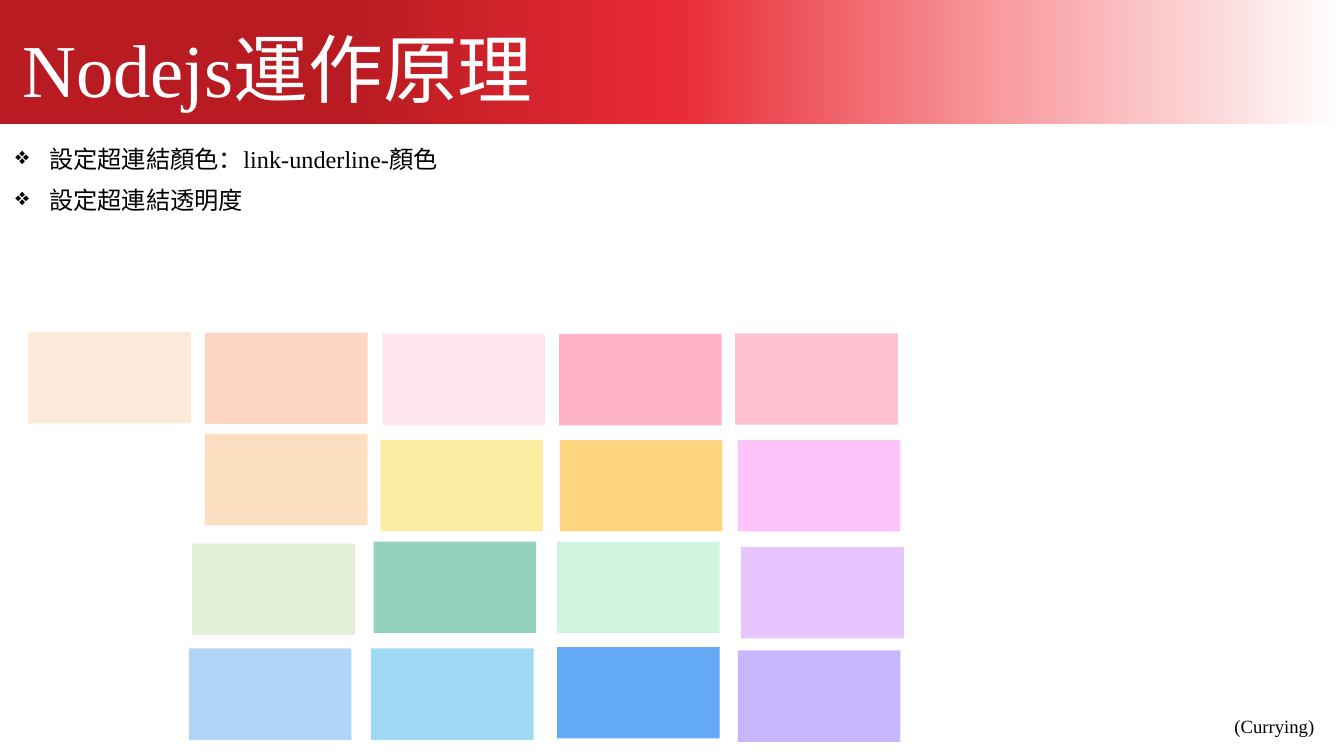
from dataclasses import dataclass

from lxml.etree import SubElement
from pptx import Presentation
from pptx.dml.color import RGBColor
from pptx.enum.shapes import MSO_SHAPE
from pptx.enum.text import MSO_AUTO_SIZE
from pptx.oxml.ns import qn
from pptx.util import Inches, Pt


@dataclass(frozen=True)
class Theme:
    latin: str = "Times New Roman"
    chinese: str = "Noto Sans CJK SC"
    ink: str = "000000"
    paper: str = "FFFFFF"
    title_size: int = 80
    body_size: int = 26
    note_size: int = 20
    banner_stops: tuple = ((0, "B81B22"), (25, "B81B22"), (50, "E82A34"),
                           (75, "F89DA1"), (100, "FFFFFF"))


THEME = Theme()
BULLETS = ["設定超連結顏色：link-underline-顏色", "設定超連結透明度"]

SWATCH_SIZE = (2.42, 1.36)
# Each swatch: left, top, colour. The rows are placed loosely by hand.
SWATCH_ROWS = [
    [(0.42, 4.94, "FCEADB"), (3.05, 4.95, "FFD5C4"), (5.69, 4.97, "FFE5EC"),
     (8.32, 4.97, "FFB3C6"), (10.94, 4.96, "FFC2D1")],
    [(3.05, 6.46, "FCDFC0"), (5.66, 6.55, "FBECA2"), (8.33, 6.55, "FFD580"),
     (10.98, 6.55, "FCC4FB")],
    [(2.86, 8.09, "E2F0D7"), (5.56, 8.06, "94D2BD"), (8.29, 8.06, "D0F4DE"),
     (11.03, 8.14, "E7C6FF")],
    [(2.81, 9.65, "B1D5F7"), (5.52, 9.65, "9FDAF5"), (8.29, 9.63, "64A9F6"),
     (10.98, 9.68, "C8B6FF")],
]


def add_rectangle(page, box):
    shape = page.shapes.add_shape(MSO_SHAPE.RECTANGLE, *map(Inches, box))
    shape.shadow.inherit = False
    shape.line.fill.background()
    return shape


def add_text_frame(page, box, has_margins=False):
    frame = page.shapes.add_textbox(*map(Inches, box)).text_frame
    frame.word_wrap = True
    frame.auto_size = MSO_AUTO_SIZE.SHAPE_TO_FIT_TEXT
    if not has_margins:
        frame.margin_left = frame.margin_right = 0
        frame.margin_top = frame.margin_bottom = 0
    return frame


def style(para, size, color):
    para.font.size = Pt(size)
    para.font.name = THEME.latin
    para.font.color.rgb = RGBColor.from_string(color)


def add_bullet(para):
    properties = para._p.get_or_add_pPr()
    properties.set("marL", str(Inches(0.5)))
    properties.set("indent", str(-Inches(0.5)))
    SubElement(properties, qn("a:buChar")).set("char", "❖")


def add_banner(page, box):
    banner = add_rectangle(page, box)
    banner.fill.gradient()
    banner.fill.gradient_angle = 0
    stops = banner._element.spPr.find(qn("a:gradFill")).find(qn("a:gsLst"))
    for stop in list(stops):
        stops.remove(stop)
    for percent, color in THEME.banner_stops:
        stop = SubElement(stops, qn("a:gs"))
        stop.set("pos", str(percent * 1000))
        SubElement(stop, qn("a:srgbClr")).set("val", color)


def add_title(page, box):
    para = add_text_frame(page, box).paragraphs[0]
    para.line_spacing = Pt(112)
    style(para, THEME.title_size, THEME.paper)
    for text, font in (("Nodejs", THEME.latin), ("運作原理", THEME.chinese)):
        span = para.add_run()
        span.text = text
        span.font.name = font


def add_bullets(page, box):
    frame = add_text_frame(page, box)
    for index, text in enumerate(BULLETS):
        para = frame.add_paragraph() if index else frame.paragraphs[0]
        para.text = text
        para.line_spacing = Pt(44.8)
        add_bullet(para)
        style(para, THEME.body_size, THEME.ink)


def add_note(page, box):
    para = add_text_frame(page, box, has_margins=True).paragraphs[0]
    para.text = "(Currying)"
    style(para, THEME.note_size, THEME.ink)


def add_palette(page):
    for row in SWATCH_ROWS:
        for left, top, color in row:
            swatch = add_rectangle(page, (left, top, *SWATCH_SIZE))
            swatch.fill.solid()
            swatch.fill.fore_color.rgb = RGBColor.from_string(color)


def main():
    deck = Presentation()
    deck.slide_width = Inches(20)
    deck.slide_height = Inches(11.25)
    page = deck.slides.add_slide(deck.slide_layouts[6])
    add_bullets(page, (0.23, 1.95, 8.9, 1.19))
    add_banner(page, (0, 0, 20, 1.85))
    add_title(page, (0.33, 0.12, 12.75, 1.45))
    add_note(page, (18.27, 10.59, 1.4, 0.44))
    add_palette(page)
    deck.save("out.pptx")


if __name__ == "__main__":
    main()
